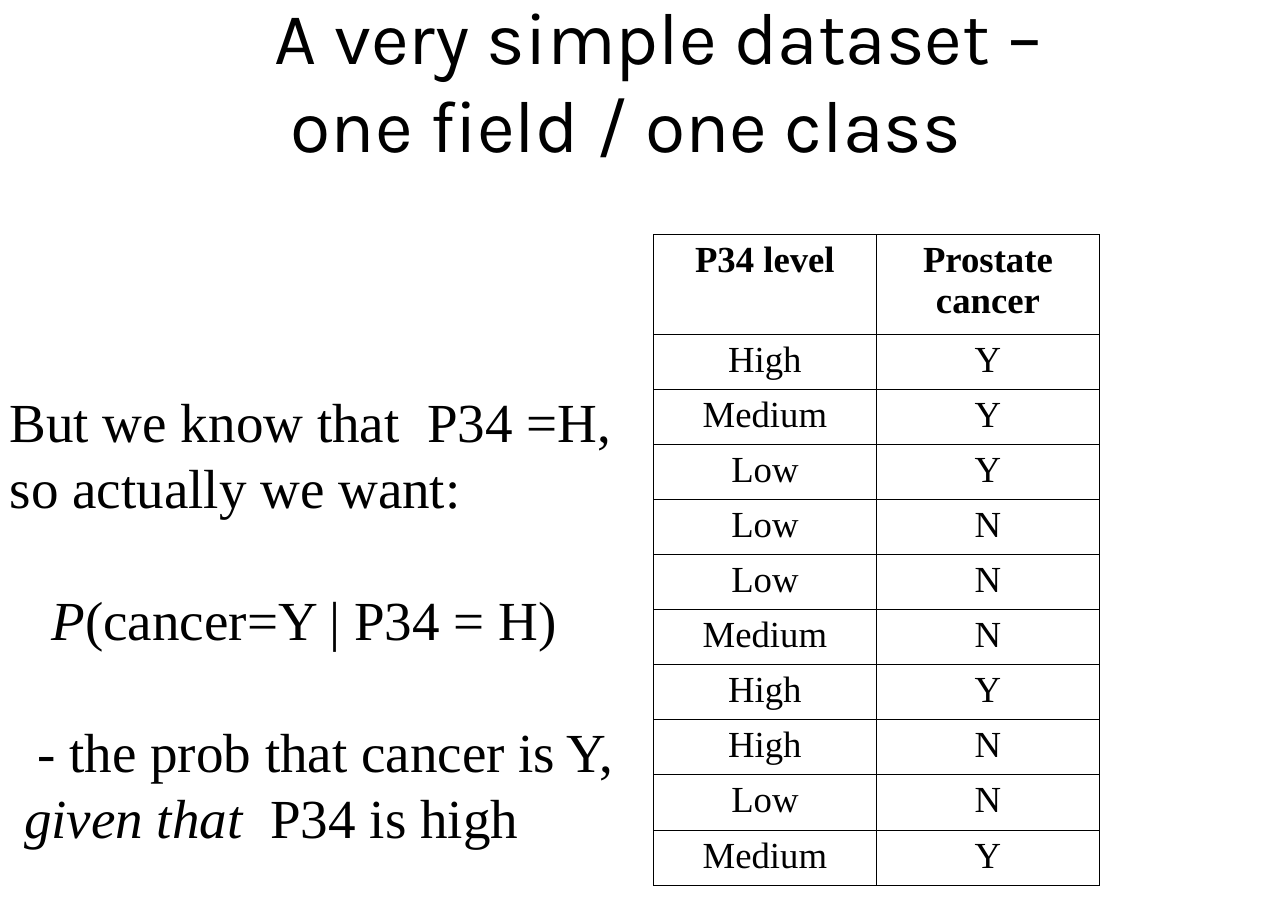
import pptx
import pptx.util
import pptx.dml.color
import pptx.enum.text
import pptx.oxml
import pptx.oxml.ns
import lxml.etree

Inches = pptx.util.Inches
Pt = pptx.util.Pt
ALIGN = pptx.enum.text.PP_ALIGN
ANCHOR = pptx.enum.text.MSO_ANCHOR
BLACK = pptx.dml.color.RGBColor(0x00, 0x00, 0x00)
WHITE = pptx.dml.color.RGBColor(0xFF, 0xFF, 0xFF)

HEAD = {"name": "Karla", "size": Pt(48)}
BODY = {"name": "Times New Roman", "size": Pt(36)}
CELL = {"name": "Times New Roman", "size": Pt(24)}

LINE = 43.1  # body line height in points
# Each line: left indent, blank lines before, runs of (text, italic)
NOTES = [
    (0, 0, [("But we know that  P34 =H,", False)]),
    (0, 0, [("so actually we want:", False)]),
    (0.38, 1, [("P", True), ("(cancer=Y | P34 = H)", False)]),
    (0.25, 1, [("- the prob that cancer is Y,", False)]),
    (0.13, 0, [("given that", True), ("  P34 is high", False)]),
]
ROWS = [
    ("P34 level", "Prostate cancer"),
    ("High", "Y"), ("Medium", "Y"), ("Low", "Y"), ("Low", "N"), ("Low", "N"),
    ("Medium", "N"), ("High", "Y"), ("High", "N"), ("Low", "N"), ("Medium", "Y"),
]


def style(font, form):
    for key, value in form.items():
        setattr(font, key, value)
    font.color.rgb = BLACK


def add_tag(parent, tag, **attrs):
    return lxml.etree.SubElement(parent, pptx.oxml.ns.qn(tag), attrs)


def add_frame(slide, box, form):
    shape = slide.shapes.add_textbox(*map(Inches, box))
    frame = shape.text_frame
    frame.word_wrap = True
    for key, value in form.items():
        setattr(frame, key, value)
    return frame


def add_title(slide, box):
    frame = add_frame(slide, box, {
        "vertical_anchor": ANCHOR.MIDDLE,
        "margin_left": Inches(0.11), "margin_right": Inches(0.11),
        "margin_top": Inches(0.06), "margin_bottom": Inches(0.06)})
    para = frame.paragraphs[0]
    para.alignment = ALIGN.CENTER
    para.line_spacing = Pt(57.5)
    # Tab stops at equal steps
    tabs = add_tag(para._p.get_or_add_pPr(), "a:tabLst")
    for step in range(8):
        add_tag(tabs, "a:tab", pos=str(Inches(1.14 * step)), algn="l")
    para.text = "A very simple dataset – \vone field / one class\t"
    style(para.font, HEAD)
    for run in para.runs:
        style(run.font, HEAD)


def add_notes(slide, box):
    frame = add_frame(slide, box, {})
    for index, (indent, blanks, runs) in enumerate(NOTES):
        para = frame.paragraphs[0] if index == 0 else frame.add_paragraph()
        para.line_spacing = Pt(LINE)
        if blanks:
            para.space_before = Pt(LINE * blanks)
        para._p.get_or_add_pPr().set("marL", str(Inches(indent)))
        for text, slant in runs:
            run = para.add_run()
            run.text = text
            style(run.font, {**BODY, "italic": slant})


def add_borders(cell):
    props = cell._tc.get_or_add_tcPr()
    for side in ("a:lnL", "a:lnR", "a:lnT", "a:lnB"):
        line = add_tag(props, side, w=str(Pt(0.45)))
        add_tag(add_tag(line, "a:solidFill"), "a:srgbClr", val=str(BLACK))


def add_data(slide, box):
    table = slide.shapes.add_table(len(ROWS), 2, *map(Inches, box)).table
    table.horz_banding = False
    for col in table.columns:
        col.width = Inches(box[2] / 2)
    for index, (row, texts) in enumerate(zip(table.rows, ROWS)):
        row.height = Inches(0.47 if index else 0.83)
        for cell, text in zip(row.cells, texts):
            add_borders(cell)
            cell.fill.solid()
            cell.fill.fore_color.rgb = WHITE
            para = cell.text_frame.paragraphs[0]
            para.alignment = ALIGN.CENTER
            run = para.add_run()
            run.text = text
            style(run.font, {**CELL, "bold": index == 0})


def main():
    deck = pptx.Presentation()
    deck.slide_width, deck.slide_height = Inches(11.69), Inches(8.27)
    slide = deck.slides.add_slide(deck.slide_layouts[6])
    add_title(slide, (0.43, 0.03, 11.26, 1.38))
    add_data(slide, (5.93, 2.13, 4.05, 5.53))
    add_notes(slide, (-0.01, 3.47, 5.76, 4.3))
    deck.save("out.pptx")


if __name__ == "__main__":
    main()
